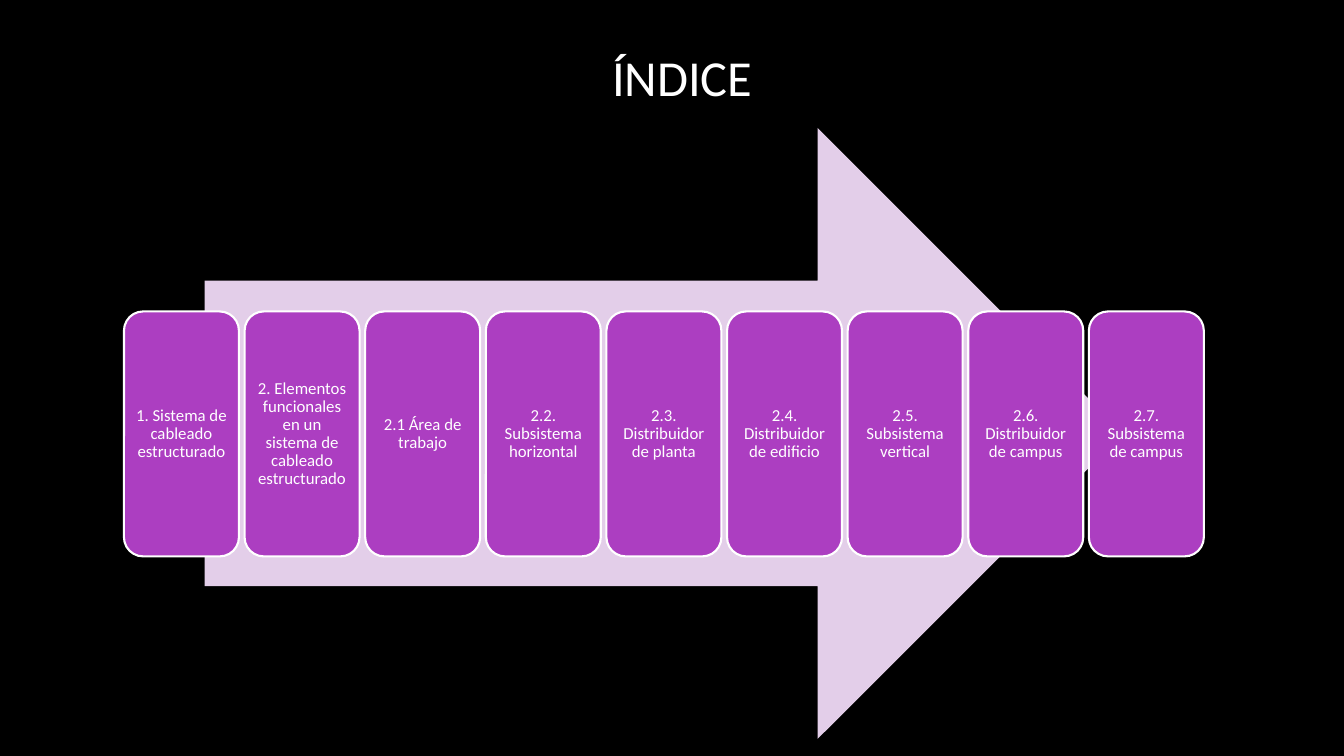
from pptx import Presentation
from pptx.dml.color import RGBColor
from pptx.enum.shapes import MSO_SHAPE
from pptx.enum.text import MSO_ANCHOR, MSO_AUTO_SIZE, PP_ALIGN
from pptx.util import Inches, Pt

TITLE = "ÍNDICE"
TOPICS = [
    "1. Sistema de cableado estructurado",
    "2. Elementos funcionales en un sistema de cableado estructurado",
    "2.1 Área de trabajo",
    "2.2. Subsistema horizontal",
    "2.3. Distribuidor de planta",
    "2.4. Distribuidor de edificio",
    "2.5. Subsistema vertical",
    "2.6. Distribuidor de campus",
    "2.7. Subsistema de campus",
]
COLORS = {"back": "000000", "arrow": "E3CEE9", "card": "AC3EC1", "white": "FFFFFF"}
FIRST, LAST = 1.23, 10.8
STEP = (LAST - FIRST) / (len(TOPICS) - 1)


def color(name):
    return RGBColor.from_string(COLORS[name])


def write(shape, text, size=12, align=PP_ALIGN.CENTER, inset=(0.05, 0.05), leading=0.9):
    frame = shape.text_frame
    frame.word_wrap = True
    frame.auto_size = MSO_AUTO_SIZE.NONE
    frame.vertical_anchor = MSO_ANCHOR.MIDDLE
    frame.margin_left = frame.margin_right = Inches(inset[0])
    frame.margin_top = frame.margin_bottom = Inches(inset[1])
    para = frame.paragraphs[0]
    para.alignment = align
    para.line_spacing = leading
    run = para.add_run()
    run.text = text
    run.font.name = "Calibri"
    run.font.size = Pt(size)
    run.font.color.rgb = color("white")


def draw(slide, kind, box, fill):
    shape = slide.shapes.add_shape(kind, *map(Inches, box))
    shape.shadow.inherit = False
    shape.fill.solid()
    shape.fill.fore_color.rgb = color(fill)
    shape.line.fill.background()
    return shape


def main():
    deck = Presentation()
    deck.slide_width, deck.slide_height = Inches(13.33), Inches(7.5)
    slide = deck.slides.add_slide(deck.slide_layouts[5])
    slide.background.fill.solid()
    slide.background.fill.fore_color.rgb = color("back")

    title = slide.shapes.title
    title.left, title.top = Inches(5.97), Inches(0.25)
    title.width, title.height = Inches(2.07), Inches(1.02)
    write(title, TITLE, size=36, align=PP_ALIGN.LEFT, inset=(0.1, 0.05), leading=1.0)

    draw(slide, MSO_SHAPE.RIGHT_ARROW, (2.03, 1.27, 9.11, 6.06), "arrow")
    for i, topic in enumerate(TOPICS):
        box = (FIRST + i * STEP, 3.09, 1.14, 2.43)
        card = draw(slide, MSO_SHAPE.ROUNDED_RECTANGLE, box, "card")
        card.line.color.rgb = color("white")
        card.line.width = Pt(1.5)
        write(card, topic)

    deck.save("out.pptx")


if __name__ == "__main__":
    main()
